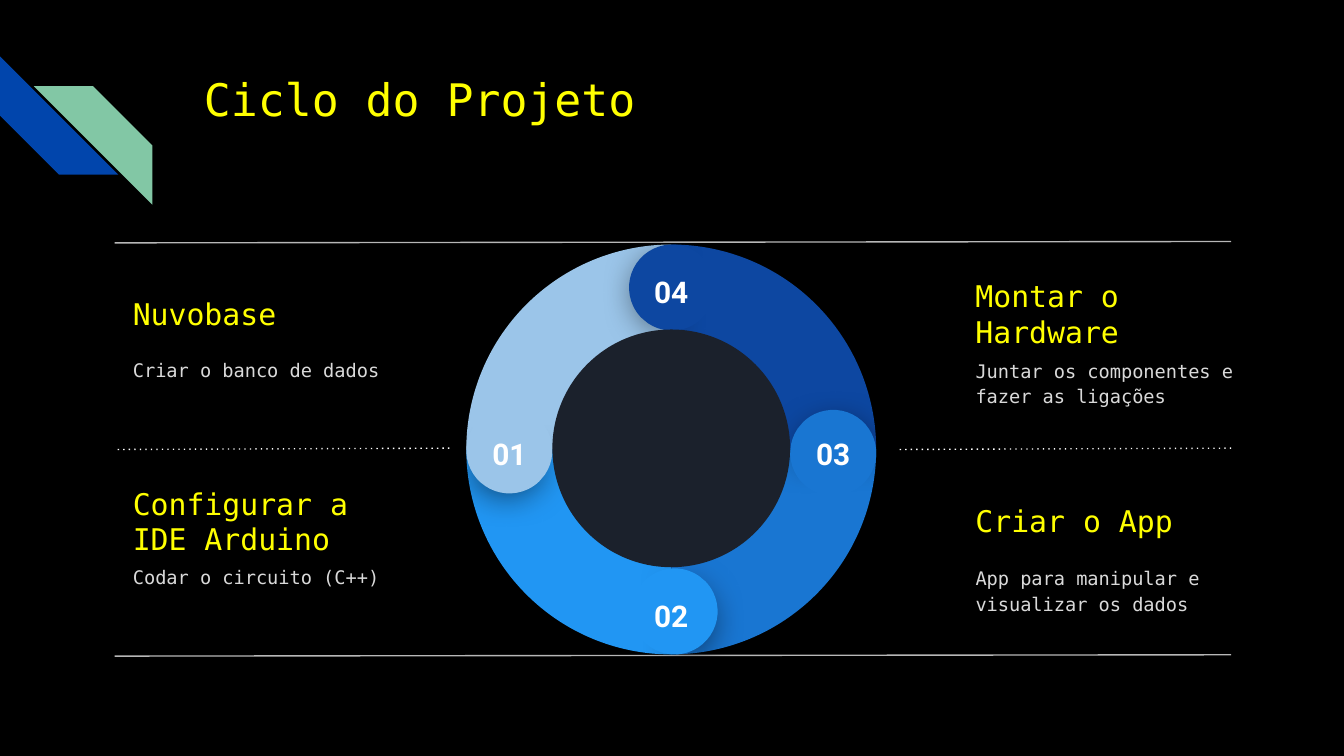
from dataclasses import dataclass
from math import cos, radians, sin

from lxml import etree
from pptx import Presentation
from pptx.dml.color import RGBColor
from pptx.enum import shapes, text
from pptx.oxml import parse_xml
from pptx.oxml.ns import nsdecls, qn
from pptx.util import Pt


@dataclass(frozen=True)
class Theme:
    back: str = "000000"
    accent: str = "FFFF00"
    body: str = "D9D9D9"
    white: str = "FFFFFF"
    rule: str = "B7B7B7"
    hole: str = "1B212C"
    stripe_blue: str = "0145AC"
    stripe_green: str = "82C7A5"
    mono: str = "DejaVu Sans Mono"
    number_font: str = "Roboto"
    title_size: int = 24
    heading_size: int = 16
    body_size: int = 10


THEME = Theme()
SHAPE = shapes.MSO_SHAPE

# number, colour, angle on the ring (clockwise from the right), slide past that angle
STEPS = [
    ("01", "9BC5E9", 180, 0.5),
    ("02", "2196F3", 90, 1.8),
    ("03", "1976D2", 0, -1.8),
    ("04", "0D47A1", 270, -0.4),
]

# column, row, heading, description
TOPICS = [
    (0, 0, "Nuvobase", "Criar o banco de dados"),
    (0, 1, "Configurar a IDE Arduino", "Codar o circuito (C++)"),
    (1, 0, "Montar o Hardware", "Juntar os componentes e fazer as ligações"),
    (1, 1, "Criar o App", "App para manipular e visualizar os dados"),
]


def add_filled(page, kind, left, top, size, colour, rotation=0, adjust=()):
    shape = page.shapes.add_shape(kind, Pt(left), Pt(top), Pt(size), Pt(size))
    shape.shadow.inherit = False
    shape.fill.solid()
    shape.fill.fore_color.rgb = RGBColor.from_string(colour)
    shape.line.fill.background()
    shape.rotation = rotation % 360
    for index, value in enumerate(adjust):
        shape.adjustments[index] = value
    return shape


def add_centred(page, kind, x, y, size, colour, rotation=0, angles=()):
    """Place a round shape by its centre; angles are in degrees."""
    adjust = [angle * 0.6 for angle in angles]
    return add_filled(page, kind, x - size / 2, y - size / 2, size, colour, rotation, adjust)


def add_text(page, left, top, width, height, words, size, colour, font=THEME.mono,
             anchor=text.MSO_ANCHOR.TOP):
    box = page.shapes.add_textbox(Pt(left), Pt(top), Pt(width), Pt(height))
    frame = box.text_frame
    frame.word_wrap = True
    frame.vertical_anchor = anchor
    frame.margin_left = frame.margin_right = Pt(7.2)
    frame.margin_top = frame.margin_bottom = Pt(7.2)
    para = frame.paragraphs[0]
    para.text = words
    para.font.name = font
    para.font.size = Pt(size)
    para.font.color.rgb = RGBColor.from_string(colour)
    return para


def add_rule(page, left, right, top, colour, dotted=False):
    """Draw a line that rises slightly to the right."""
    line = page.shapes.add_connector(
        shapes.MSO_CONNECTOR.STRAIGHT, Pt(right), Pt(top), Pt(left), Pt(top + 0.72))
    line.line.color.rgb = RGBColor.from_string(colour)
    line.line.width = Pt(0.75)
    properties = line._element.spPr
    if dotted:
        etree.SubElement(properties.find(qn("a:ln")), qn("a:prstDash"), val="dot")
    etree.SubElement(properties, qn("a:effectLst"))


def cast_shadow(shape):
    properties = shape._element.spPr
    properties.remove(properties.find(qn("a:effectLst")))
    properties.append(parse_xml(
        f'<a:effectLst {nsdecls("a")}>'
        f'<a:outerShdw blurRad="{Pt(18)}" dist="{Pt(4)}" dir="5400000" '
        'algn="bl" rotWithShape="0"><a:srgbClr val="000000"><a:alpha val="55000"/>'
        '</a:srgbClr></a:outerShdw></a:effectLst>'))


def draw_header(page, left, top):
    size = 63.4
    add_filled(page, SHAPE.DIAGONAL_STRIPE, left, top, size, THEME.stripe_blue, 270, [0.5])
    green = add_filled(page, SHAPE.DIAGONAL_STRIPE, left + 18.2, top + 16, size,
                       THEME.stripe_green, 0, [0.5])
    green._element.spPr.find(qn("a:xfrm")).set("flipH", "1")
    add_text(page, left + 102.2, top + 0.8, 554.4, 72, "Ciclo do Projeto",
             THEME.title_size, THEME.accent)


def draw_rules(page, left, top, width, height):
    right = left + width
    half = 179.3
    middle = top + height / 2
    add_rule(page, left, right, top, THEME.rule)
    add_rule(page, left, left + half, middle, THEME.white, dotted=True)
    add_rule(page, right - half, right, middle, THEME.white, dotted=True)
    add_rule(page, left, right, top + height, THEME.rule)


def draw_ring(page, left, top, size):
    x, y = left + size / 2, top + size / 2
    hole = size * 0.58
    track = (size + hole) / 4
    cap = (size - hole) / 2

    for number, colour, angle, slide in STEPS:
        add_centred(page, SHAPE.PIE, x, y, size, colour, angle - 180, (179.9, 270))

    for number, colour, angle, slide in STEPS:
        across, down = cos(radians(angle)), sin(radians(angle))
        cap_x = x + track * across + slide * down
        cap_y = y + track * down - slide * across
        turn = angle - 180
        half = add_centred(page, SHAPE.PIE, cap_x + 1.4 * across, cap_y + 1.4 * down,
                           cap - 5, colour, turn + 39.5, (315.9, 139.7))
        cast_shadow(half)
        add_centred(page, SHAPE.CHORD, cap_x, cap_y, cap, colour, turn + 4.1, (41.7, 30.2))
        para = add_text(page, x + track * across - 20, y + track * down - 14.4, 40, 21,
                        number, THEME.heading_size, THEME.white, THEME.number_font)
        para.font.bold = True
        para.alignment = text.PP_ALIGN.CENTER

    add_centred(page, SHAPE.OVAL, x, y - 0.6, hole, THEME.hole)


def draw_topic(page, left, top, heading, description):
    add_text(page, left, top, 146.2, 35.3, heading, THEME.heading_size, THEME.accent,
             anchor=text.MSO_ANCHOR.MIDDLE)
    para = add_text(page, left, top + 33.1, 157, 54.7, description,
                    THEME.body_size, THEME.body)
    para.line_spacing = 1.15


def main():
    deck = Presentation()
    deck.slide_width, deck.slide_height = Pt(720), Pt(405)
    page = deck.slides.add_slide(deck.slide_layouts[6])
    page.background.fill.solid()
    page.background.fill.fore_color.rgb = RGBColor.from_string(THEME.back)

    draw_header(page, 0, 30.2)
    draw_rules(page, 61.4, 129.4, 598.2, 221.4)
    draw_ring(page, 249.8, 131, 219.6)
    for column, row, heading, description in TOPICS:
        draw_topic(page, 64.1 + 451.4 * column, 150.5 + 111 * row, heading, description)
    deck.save("out.pptx")


if __name__ == "__main__":
    main()
